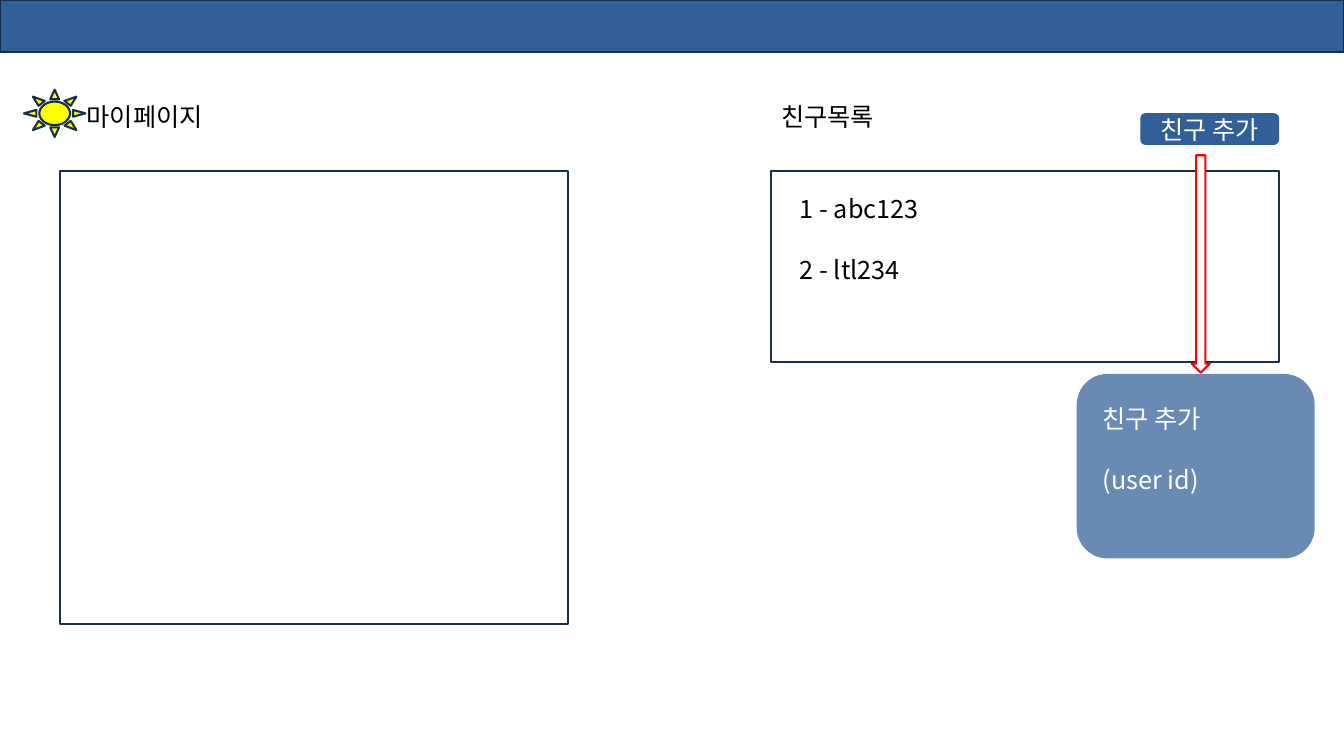
"""Build the wireframe slide with a personal page and a friend list."""
from lxml import etree
from pptx import Presentation
from pptx.dml.color import RGBColor
from pptx.enum import shapes, text
from pptx.oxml import ns
from pptx.util import Pt

BLUE = RGBColor(0x31, 0x5F, 0x97)
NAVY = RGBColor(0x18, 0x2F, 0x4B)
YELLOW = RGBColor(0xFF, 0xFF, 0x00)
RED = RGBColor(0xFF, 0x00, 0x00)
WHITE = RGBColor(0xFF, 0xFF, 0xFF)
BLACK = RGBColor(0x00, 0x00, 0x00)
Preset = shapes.MSO_SHAPE


class Painter:
    def __init__(self, page, font="Noto Sans CJK KR", size=18, stroke=1.5):
        self.page = page
        self.font = font
        self.size = size
        self.stroke = stroke

    def fill_text(self, box, lines, color=BLACK, align=text.PP_ALIGN.LEFT,
                  anchor=text.MSO_ANCHOR.TOP):
        frame = box.text_frame
        frame.text = "\n".join(lines)
        frame.word_wrap = True
        frame.auto_size = text.MSO_AUTO_SIZE.NONE
        frame.vertical_anchor = anchor
        frame.margin_left = frame.margin_right = Pt(7.2)
        frame.margin_top = frame.margin_bottom = Pt(3.6)
        for index, para in enumerate(frame.paragraphs):
            para.alignment = align
            para.line_spacing = Pt(22)
            para.space_before = Pt(21.6 if index else 0)
            para.space_after = Pt(0)
            for span in para.runs:
                span.font.name = self.font
                span.font.size = Pt(self.size)
                span.font.color.rgb = color
                properties = span.font._element
                etree.SubElement(properties, ns.qn("a:ea"), typeface=self.font)

    def placeholder(self, box, area, lines):
        box.left, box.top, box.width, box.height = map(Pt, area)
        self.fill_text(box, lines)
        for para in box.text_frame.paragraphs:
            properties = para._p.get_or_add_pPr()
            properties.set("marL", "0")
            properties.set("indent", "0")
            etree.SubElement(properties, ns.qn("a:buNone"))

    def label(self, area, lines, color=BLACK):
        box = self.page.shapes.add_textbox(*map(Pt, area))
        self.fill_text(box, lines, color)

    def shape(self, preset, area, fill=None, line=None, opacity=None):
        box = self.page.shapes.add_shape(preset, *map(Pt, area))
        box.shadow.inherit = False
        if fill is None:
            box.fill.background()
        else:
            box.fill.solid()
            box.fill.fore_color.rgb = fill
        if line is None:
            box.line.fill.background()
        else:
            box.line.color.rgb = line
            box.line.width = Pt(self.stroke)
        if opacity is not None:
            color = box._element.spPr.find(".//" + ns.qn("a:srgbClr"))
            etree.SubElement(color, ns.qn("a:alpha"), val=str(opacity * 1000))
        return box


deck = Presentation()
deck.slide_width, deck.slide_height = Pt(960), Pt(540)
page = deck.slides.add_slide(deck.slide_layouts[1])
painter = Painter(page)
title, friends = page.placeholders

painter.shape(Preset.RECTANGLE, (0, 0, 960, 37.4), BLUE, NAVY)
painter.placeholder(title, (54.7, 68.4, 294.5, 28.8), ["마이페이지"])
painter.label((550.8, 68.4, 294.5, 28.8), ["친구목록"])
for left, height in ((43.2, 323.3), (550.8, 136.1)):
    painter.shape(Preset.RECTANGLE, (left, 122.4, 362.9, height), line=NAVY)
painter.placeholder(friends, (564.2, 133.9, 349.2, 115.2),
                    ["1 - abc123", "2 - ltl234"])
painter.shape(Preset.SUN, (17.1, 64.1, 43.9, 33.8), YELLOW, NAVY)

button = painter.shape(Preset.ROUNDED_RECTANGLE, (814.5, 80.8, 99.2, 22.8), BLUE)
painter.fill_text(button, ["친구 추가"], WHITE, text.PP_ALIGN.CENTER,
                  text.MSO_ANCHOR.MIDDLE)
painter.shape(Preset.FLOWCHART_ALTERNATE_PROCESS, (769.1, 267.1, 170, 131.8),
              BLUE, opacity=73)
painter.label((780.5, 284.4, 141.8, 114.5), ["친구 추가", "(user id)"], WHITE)
painter.shape(Preset.DOWN_ARROW, (851.2, 110.9, 13, 155.3), WHITE, RED)

deck.save("out.pptx")
